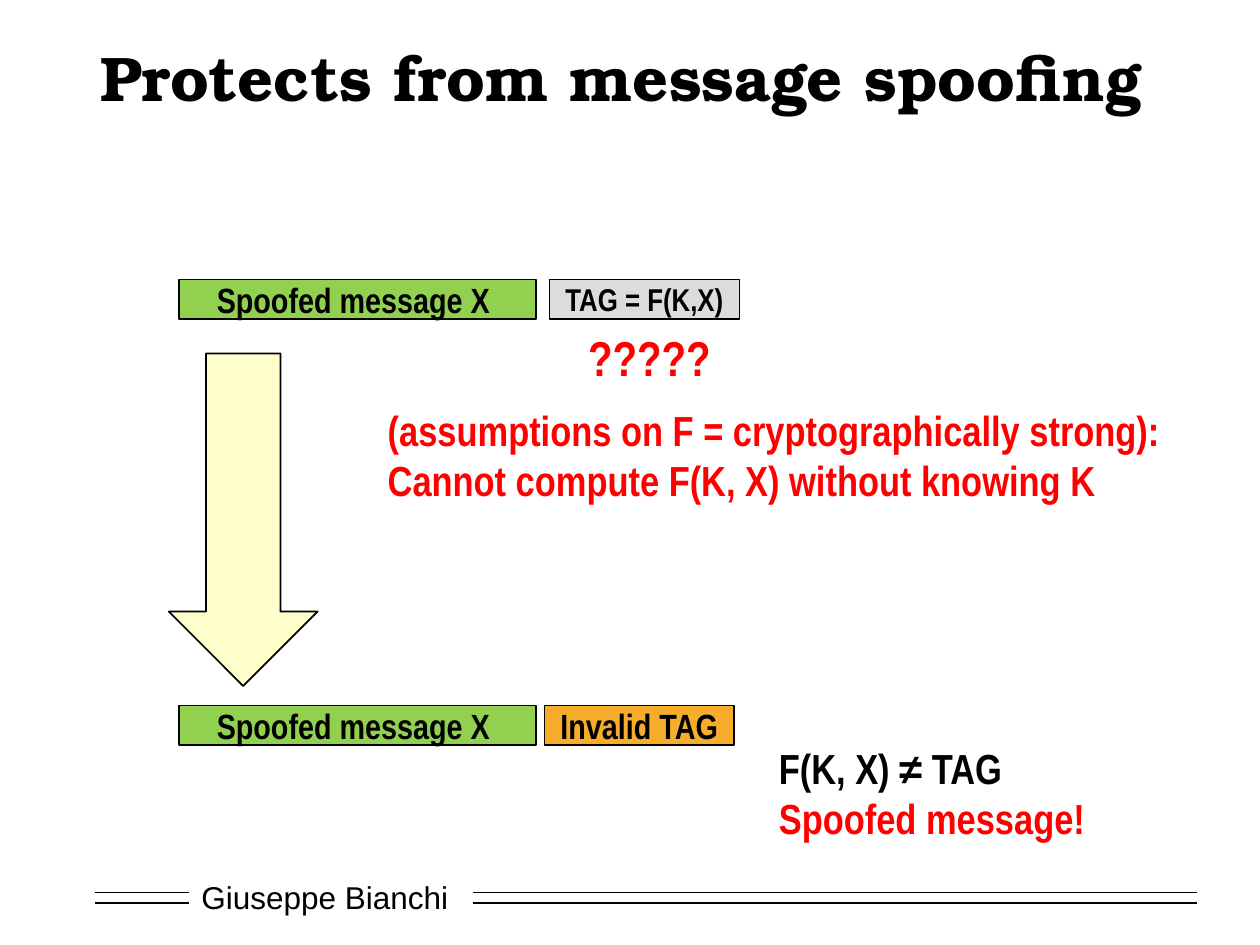
from lxml import etree
from pptx import Presentation
from pptx.dml.color import RGBColor
from pptx.enum import shapes, text
from pptx.oxml import ns
from pptx.util import Pt

BLACK = RGBColor(0x00, 0x00, 0x00)
WHITE = RGBColor(0xFF, 0xFF, 0xFF)
RED = RGBColor(0xFF, 0x00, 0x00)
GREEN = RGBColor(0x92, 0xD0, 0x50)
GREY = RGBColor(0xDC, 0xDC, 0xDC)
ORANGE = RGBColor(0xF5, 0xAD, 0x2B)
YELLOW = RGBColor(0xFF, 0xFF, 0x99)

# Content: places are left, top, width, height in points
TITLE = "Protects from message spoofing"
AUTHOR = "Giuseppe Bianchi"
MESSAGE = "Spoofed message X "
MESSAGE_LEFT, MESSAGE_WIDTH = 102.25, 204
TAG_WIDTH, FIELD_HEIGHT = 108.5, 22.5
PACKETS = [  # top, tag left, tag text, tag size, tag fill
    (159.75, 314, "TAG = F(K,X)", 18, GREY),
    (403.25, 311, "Invalid TAG", 20, ORANGE),
]
REMARKS = [  # place, size, lines with colour
    ((329, 183.75, 85, 41), 28, [("?????", RED)]),
    ((214.5, 227.5, 460, 65.5), 24,
     [("(assumptions on F = cryptographically strong):", RED),
      ("Cannot compute F(K, X) without knowing K", RED)]),
    ((438, 420.5, 191.5, 65.5), 24,
     [("F(K, X) ≠ TAG", BLACK), ("Spoofed message!", RED)]),
]
ARROW = (96.5, 202, 85, 190)
RULE_TOPS = (510, 516)
RULE_SPANS = ((54, 108), (270, 684))

prs = Presentation()
prs.slide_width, prs.slide_height = Pt(720), Pt(540)
slide = prs.slides.add_slide(prs.slide_layouts[6])


def write(holder, lines, size, font="Arial Narrow", bold=True, wrap=False,
          align=text.PP_ALIGN.LEFT, anchor=text.MSO_ANCHOR.TOP):
    """Fill a shape with one paragraph for each (words, colour) pair."""
    frame = holder.text_frame
    frame.word_wrap = wrap
    frame.vertical_anchor = anchor
    for i, (words, colour) in enumerate(lines):
        paragraph = frame.add_paragraph() if i else frame.paragraphs[0]
        paragraph.alignment = align
        run = paragraph.add_run()
        run.text = words
        run.font.name, run.font.size, run.font.bold = font, Pt(size), bold
        run.font.color.rgb = colour


def add_block(preset, place, fill, outline=None):
    block = slide.shapes.add_shape(preset, *map(Pt, place))
    block.shadow.inherit = False
    block.fill.solid()
    block.fill.fore_color.rgb = fill
    if outline:
        block.line.color.rgb = BLACK
        block.line.width = Pt(outline)
    else:
        block.line.fill.background()
    return block


def add_field(left, top, width, words, size, fill):
    field = add_block(shapes.MSO_SHAPE.RECTANGLE,
                      (left, top, width, FIELD_HEIGHT), fill, 0.75)
    write(field, [(words, BLACK)], size, align=text.PP_ALIGN.CENTER,
          anchor=text.MSO_ANCHOR.MIDDLE)


# Footer: author between double rules
author = add_block(shapes.MSO_SHAPE.RECTANGLE, (108, 498, 156, 29), WHITE)
write(author, [(AUTHOR, BLACK)], 18, font="Arial", bold=False, wrap=True,
      anchor=text.MSO_ANCHOR.MIDDLE)
for top in RULE_TOPS:
    for start, end in RULE_SPANS:
        rule = slide.shapes.add_connector(
            shapes.MSO_CONNECTOR.STRAIGHT, Pt(start), Pt(top), Pt(end), Pt(top))
        rule.line.color.rgb = BLACK
        rule.line.width = Pt(1)
        etree.SubElement(rule._element.spPr, ns.qn("a:effectLst"))

# Title
title = slide.shapes.add_textbox(Pt(14.5), Pt(18), Pt(680.5), Pt(51))
write(title, [(TITLE, BLACK)], 36, font="TeX Gyre Bonum", wrap=True,
      align=text.PP_ALIGN.CENTER, anchor=text.MSO_ANCHOR.MIDDLE)

# Packets: message followed by its tag
for top, tag_left, tag, tag_size, tag_fill in PACKETS:
    add_field(MESSAGE_LEFT, top, MESSAGE_WIDTH, MESSAGE, 20, GREEN)
    add_field(tag_left, top, TAG_WIDTH, tag, tag_size, tag_fill)

# Half-transparent arrow from the sent packet to the received one
arrow = add_block(shapes.MSO_SHAPE.DOWN_ARROW, ARROW, YELLOW, 1)
colour = arrow._element.spPr.find(".//" + ns.qn("a:srgbClr"))
etree.SubElement(colour, ns.qn("a:alpha"), val="50000")

# Remarks
for place, size, lines in REMARKS:
    write(slide.shapes.add_textbox(*map(Pt, place)), lines, size)

prs.save("out.pptx")
